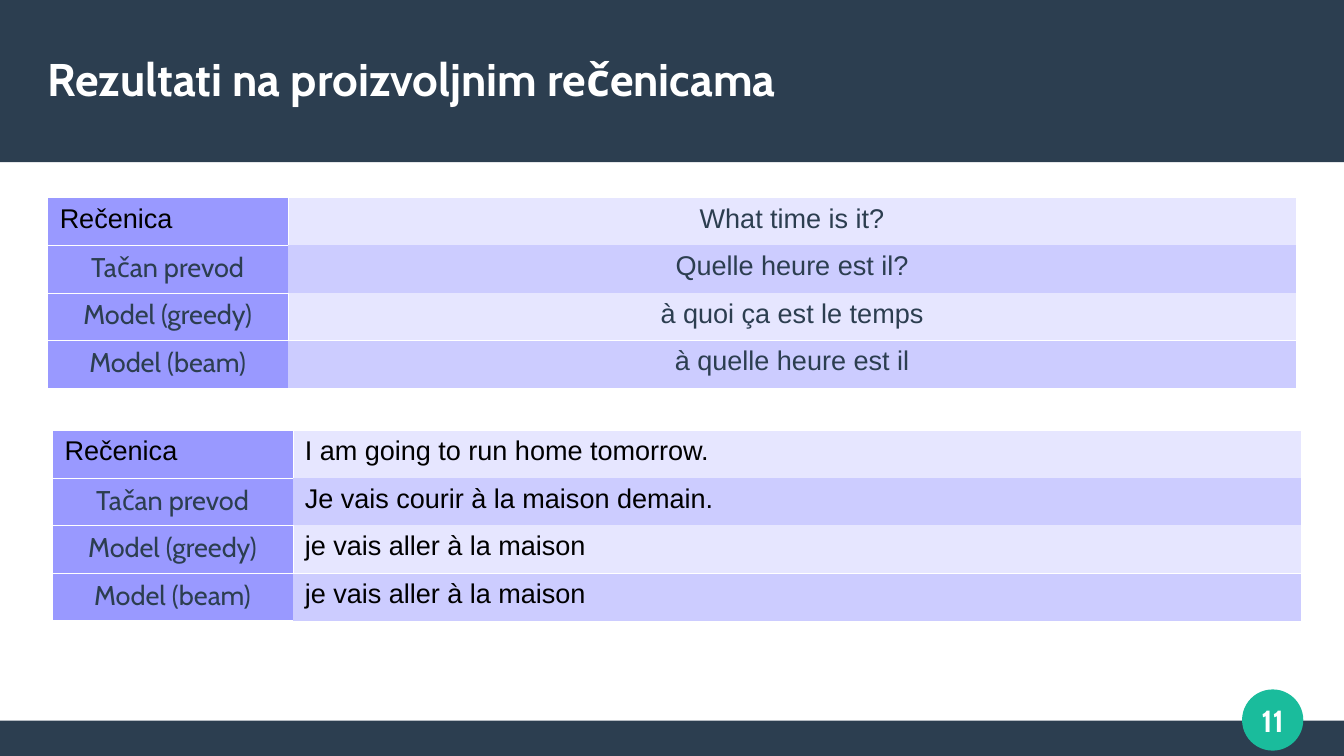
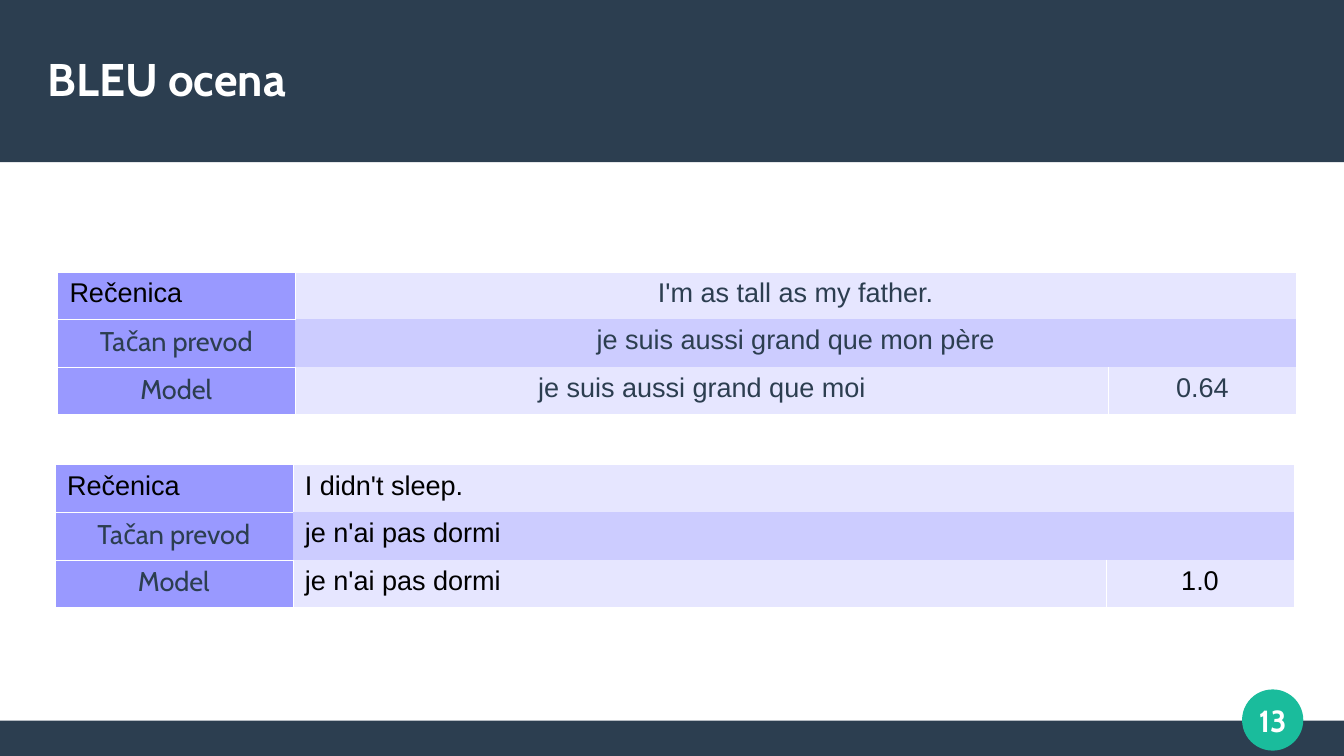
from lxml import etree
from pptx import Presentation
from pptx.dml.color import RGBColor
from pptx.enum import shapes, text
from pptx.oxml import ns
from pptx.util import Inches, Pt

COLOURS = {
    "navy": "2C3E50",
    "teal": "1ABC9C",
    "white": "FFFFFF",
    "black": "000000",
    "label": "9999FF",
    "light": "E6E6FF",
    "shade": "CCCCFF",
}
WIDTH, HEIGHT = 11.02, 6.2
ROW_HEIGHT = 0.39
PLAIN_TABLE = "{2D5ABB26-0587-4C30-8999-92F81FD0307C}"
LEFT, CENTRE = text.PP_ALIGN.LEFT, text.PP_ALIGN.CENTER

TITLE = {"size": Pt(27), "name": "Cabin", "bold": True}
NUMBER = {"size": Pt(18), "name": "Cabin", "bold": True}
LABEL = {"size": Pt(16), "name": "Cabin"}
VALUE = {"size": Pt(16), "name": "Arial"}

PAGES = [
    {
        "title": "Rezultati na proizvoljnim rečenicama",
        "number": "11",
        "columns": [1.97, 8.27],
        "tables": [
            (0.39, 1.62, CENTRE, "navy", [
                ["Rečenica", "What time is it?"],
                ["Tačan prevod", "Quelle heure est il?"],
                ["Model (greedy)", "à quoi ça est le temps"],
                ["Model (beam)", "à quelle heure est il"],
            ]),
            (0.43, 3.53, LEFT, "black", [
                ["Rečenica", "I am going to run home tomorrow."],
                ["Tačan prevod", "Je vais courir à la maison demain."],
                ["Model (greedy)", "je vais aller à la maison"],
                ["Model (beam)", "je vais aller à la maison"],
            ]),
        ],
    },
    {
        "title": "BLEU ocena",
        "number": "13",
        "columns": [1.95, 6.67, 1.54],
        "tables": [
            (0.47, 2.23, CENTRE, "navy", [
                ["Rečenica", "I'm as tall as my father."],
                ["Tačan prevod", "je suis aussi grand que mon père"],
                ["Model", "je suis aussi grand que moi", "0.64"],
            ]),
            (0.45, 3.81, LEFT, "black", [
                ["Rečenica", "I didn't sleep."],
                ["Tačan prevod", "je n'ai pas dormi"],
                ["Model", "je n'ai pas dormi", "1.0"],
            ]),
        ],
    },
]


def colour(name):
    return RGBColor.from_string(COLOURS[name])


def write(frame, words, style, ink, alignment):
    para = frame.paragraphs[0]
    para.alignment = alignment
    span = para.add_run()
    span.text = words
    for key, value in style.items():
        setattr(span.font, key, value)
    span.font.color.rgb = colour(ink)


def add_block(page, kind, box, fill):
    block = page.shapes.add_shape(kind, *map(Inches, box))
    block.shadow.inherit = False
    block.fill.solid()
    block.fill.fore_color.rgb = colour(fill)
    block.line.fill.background()
    return block


def add_text(page, box, words, style, alignment):
    frame = page.shapes.add_textbox(*map(Inches, box)).text_frame
    settings = {"word_wrap": True, "vertical_anchor": text.MSO_ANCHOR.MIDDLE}
    settings.update({f"margin_{side}": 0 for side in ("left", "top", "right", "bottom")})
    for key, value in settings.items():
        setattr(frame, key, value)
    write(frame, words, style, "white", alignment)


def add_frame(page, title, number):
    rectangle = shapes.MSO_SHAPE.RECTANGLE
    add_block(page, rectangle, (0, HEIGHT - 0.29, WIDTH, 0.29), "navy")
    add_block(page, rectangle, (0, 0, WIDTH, 1.33), "navy")
    badge = add_block(page, shapes.MSO_SHAPE.OVAL, (10.19, 5.66, 0.49, 0.49), "teal")
    badge.line.color.rgb = colour("teal")
    badge.line.width = Pt(0.85)
    add_text(page, (10.04, 5.61, 0.79, 0.59), number, NUMBER, CENTRE)
    add_text(page, (0.39, 0.25, 10.24, 0.79), title, TITLE, LEFT)


def draw_borders(cell, sides):
    properties = cell._tc.get_or_add_tcPr()
    for side in sides:
        line = etree.SubElement(properties, ns.qn(f"a:ln{side}"), w=str(Pt(0.06)))
        solid = etree.SubElement(line, ns.qn("a:solidFill"))
        etree.SubElement(solid, ns.qn("a:srgbClr"), val=COLOURS["white"])


def borders_for(row, column):
    if column == 0:
        return "LTB"
    if row % 2:
        return ""
    return "LRB" if row else "LRT"


def add_sentences(page, columns, left, top, alignment, ink, rows):
    size = (sum(columns), ROW_HEIGHT * len(rows))
    graphic = page.shapes.add_table(
        len(rows), len(columns), *map(Inches, (left, top, *size)))
    table = graphic.table
    table.first_row = table.horz_banding = False
    table._tbl.tblPr.find(ns.qn("a:tableStyleId")).text = PLAIN_TABLE
    for column, width in zip(table.columns, columns):
        column.width = Inches(width)
    for row, words in enumerate(rows):
        table.rows[row].height = Inches(ROW_HEIGHT)
        for column in range(len(columns)):
            cell = table.cell(row, column)
            draw_borders(cell, borders_for(row, column))
            fill = "shade" if row % 2 else "light"
            cell.fill.solid()
            cell.fill.fore_color.rgb = colour(fill if column else "label")
        if len(words) < len(columns):
            table.cell(row, len(words) - 1).merge(table.cell(row, len(columns) - 1))
        for column, entry in enumerate(words):
            if column:
                look = (VALUE, ink, alignment if column == 1 else CENTRE)
            elif row:
                look = (LABEL, "navy", CENTRE)
            else:
                look = (VALUE, "black", LEFT)
            write(table.cell(row, column).text_frame, entry, *look)


def main():
    deck = Presentation()
    deck.slide_width, deck.slide_height = Inches(WIDTH), Inches(HEIGHT)
    for content in PAGES:
        page = deck.slides.add_slide(deck.slide_layouts[6])
        add_frame(page, content["title"], content["number"])
        for table in content["tables"]:
            add_sentences(page, content["columns"], *table)
    deck.save("out.pptx")


if __name__ == "__main__":
    main()
